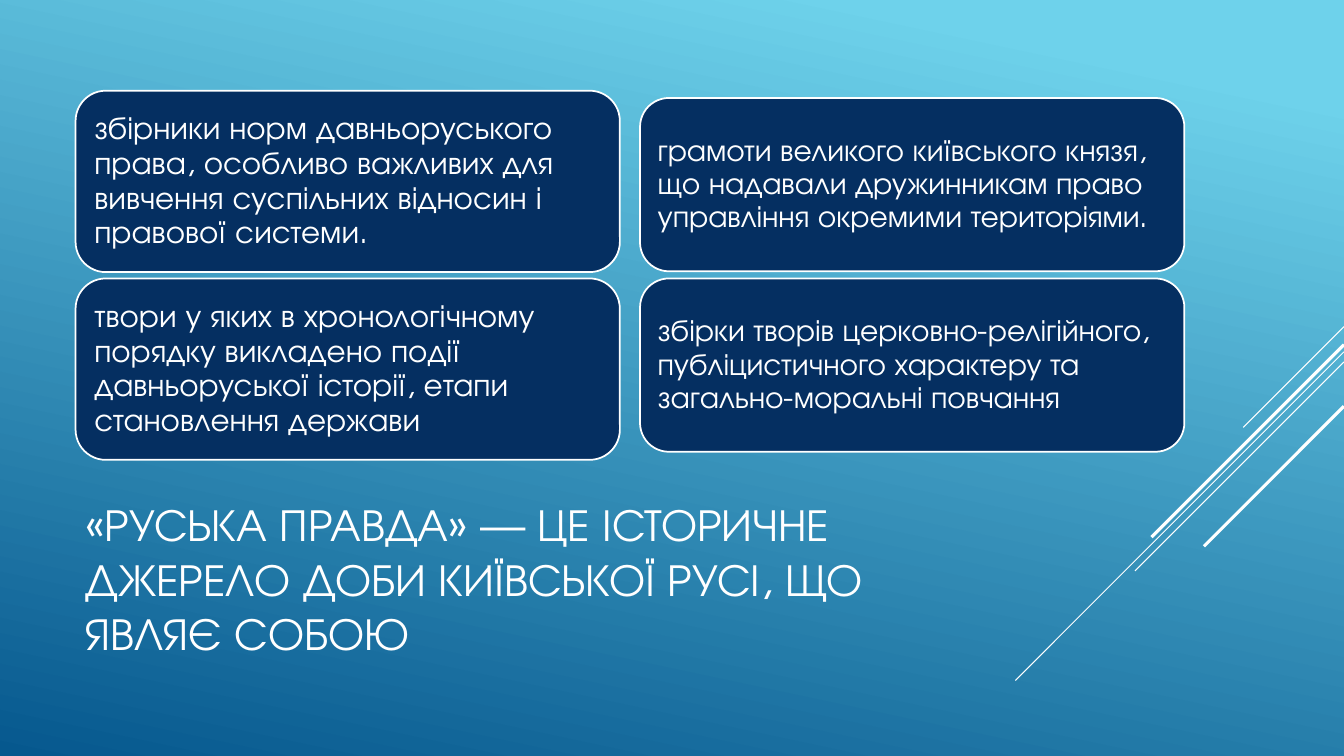
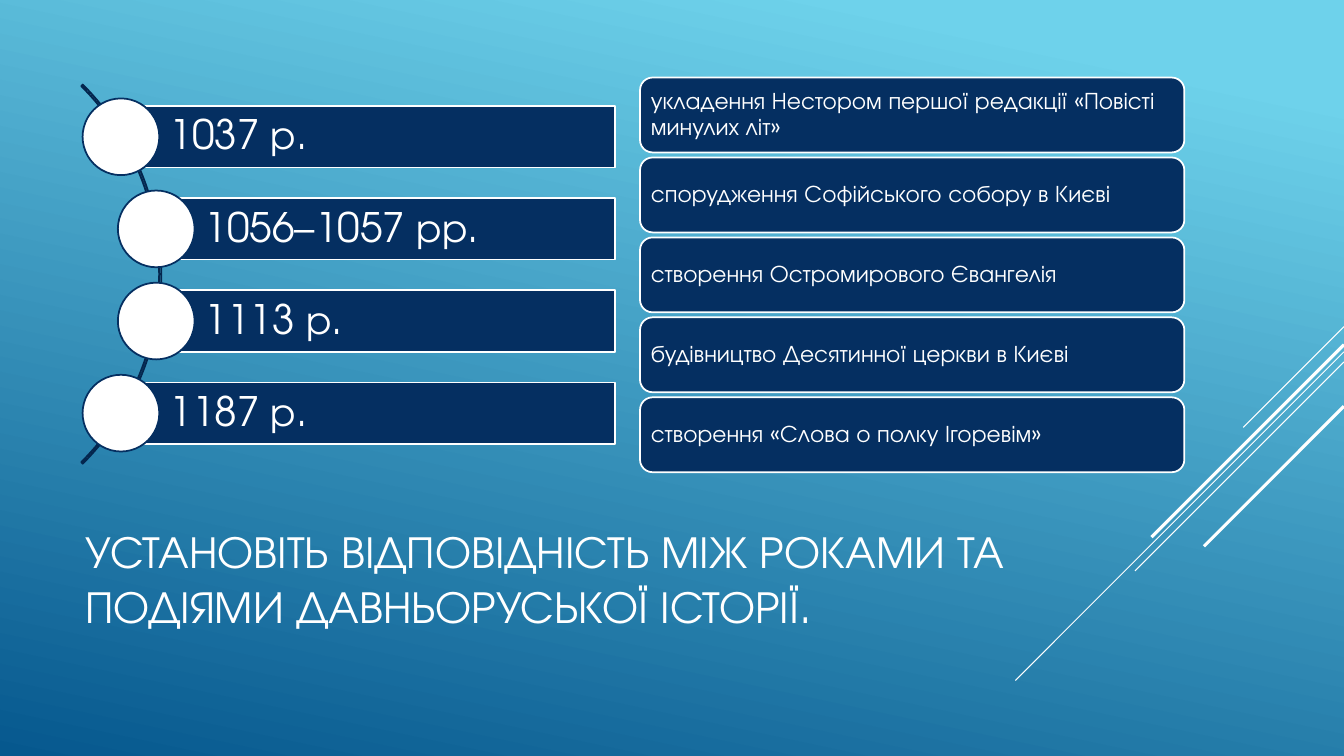
"""Build two slides on sources and dates of Kyivan Rus history."""
from lxml.etree import SubElement
from pptx import Presentation
from pptx.dml.color import RGBColor
from pptx.enum.shapes import MSO_CONNECTOR as CONNECTOR, MSO_SHAPE as SHAPE
from pptx.enum.text import MSO_ANCHOR as ANCHOR, MSO_AUTO_SIZE as AUTO_SIZE, PP_ALIGN as ALIGN
from pptx.oxml.ns import qn
from pptx.util import Pt

COLORS = {"sky": "6ED2EB", "sea": "06588E", "navy": "052F61", "arc": "04264E", "white": "FFFFFF"}
FONT = "TeX Gyre Adventor"
FRAME = {"word_wrap": True, "auto_size": AUTO_SIZE.NONE, "vertical_anchor": ANCHOR.MIDDLE}


def write_text(shape, text, size, spacing, margins):
    """Fill a shape with one left-aligned paragraph; margins are left, top, right, bottom."""
    frame = shape.text_frame
    sides = ("margin_left", "margin_top", "margin_right", "margin_bottom")
    for name, value in {**FRAME, **dict(zip(sides, map(Pt, margins)))}.items():
        setattr(frame, name, value)
    para = frame.paragraphs[0]
    para.alignment, para.line_spacing = ALIGN.LEFT, spacing
    span = para.add_run()
    span.text = text
    for name, value in {"name": FONT, "size": Pt(size)}.items():
        setattr(span.font, name, value)
    span.font.color.rgb = RGBColor.from_string(COLORS["white"])


def add_block(slide, preset, at, fill, line):
    """Add a shape with a thin outline; fill may be None."""
    shape = slide.shapes.add_shape(preset, *map(Pt, at))
    shape.shadow.inherit = False
    if fill:
        shape.fill.solid()
        shape.fill.fore_color.rgb = RGBColor.from_string(COLORS[fill])
    else:
        shape.fill.background()
    shape.line.color.rgb = RGBColor.from_string(COLORS[line])
    shape.line.width = Pt(1.25)
    return shape


deck = Presentation()
deck.slide_width, deck.slide_height = Pt(960), Pt(540)
master = deck.slide_master
layout = deck.slide_layouts.get_by_name("Title Only")

backdrop = master.background.fill
backdrop.gradient()
backdrop.gradient_angle = 258
for stop, position, color in zip(backdrop.gradient_stops, (0.1, 1), ("sky", "sea")):
    stop.position = position
    stop.color.rgb = RGBColor.from_string(COLORS[color])

titles = [
    "«РУСЬКА ПРАВДА» — ЦЕ ІСТОРИЧНЕ ДЖЕРЕЛО ДОБИ КИЇВСЬКОЇ РУСІ, ЩО ЯВЛЯЄ СОБОЮ",
    "УСТАНОВІТЬ ВІДПОВІДНІСТЬ МІЖ РОКАМИ ТА ПОДІЯМИ ДАВНЬОРУСЬКОЇ ІСТОРІЇ.",
]
slides = []
for text in titles:
    slide = deck.slides.add_slide(layout)
    title = slide.shapes.title
    title.left, title.top, title.width, title.height = map(Pt, (54, 353.5, 672, 118.8))
    write_text(title, text, 32.4, 1, (7.2, 3.6, 7.2, 3.6))
    slides.append(slide)
sources, dates = slides

diagonals = [(233.3, 72, 0.75), (251.3, 234.7, 0.75), (258.5, 149.3, 0.75),
             (246.2, 137.5, 2.25), (290.2, 100, 2.25)]
for number, (top, run, width) in enumerate(diagonals):
    diagonal = sources.shapes.add_connector(
        CONNECTOR.STRAIGHT, *map(Pt, (960, top, 960 - run, top + run)))
    diagonal.line.color.rgb = RGBColor.from_string(COLORS["white"])
    diagonal.line.width = Pt(width)
    SubElement(diagonal.element.spPr, qn("a:effectLst"))
    diagonal.element.nvCxnSpPr.cNvPr.id = 20 + number
    master.shapes.element.append(diagonal.element)

card_columns = [
    (54, 64.8, 129.6, 134.1, 23, 7.2, [
        "збірники норм давньоруського права, особливо важливих для вивчення суспільних відносин і правової системи.",
        "твори у яких в хронологічному порядку викладено події давньоруської історії, етапи становлення держави",
    ]),
    (457.2, 70, 123.8, 128.9, 22, 6.6, [
        "грамоти великого київського князя, що надавали дружинникам право управління окремими територіями.",
        "збірки творів церковно-релігійного, публіцистичного характеру та загально-моральні повчання",
    ]),
]
event_column = (457.2, 55.4, 53.5, 57.1, 17, 5.1, [
    "укладення Нестором першої редакції «Повісті минулих літ»",
    "спорудження Софійського собору в Києві",
    "створення Остромирового Євангелія",
    "будівництво Десятинної церкви в Києві",
    "створення «Слова о полку Ігоревім»",
])

arc = add_block(dates, SHAPE.BLOCK_ARC, (-267.8, 4.3, 383, 383), None, "arc")
for index, value in enumerate((189, 27, 0.004)):
    arc.adjustments[index] = value

years = [("1037 р.", 86.4), ("1056–1057 рр.", 111.6), ("1113 р.", 111.6), ("1187 р.", 86.4)]
bar_right, bar_height, dot = 439.2, 43.9, 54.8
for row, (year, left) in enumerate(years):
    middle = 97.7 + row * 65.8
    bar = add_block(dates, SHAPE.RECTANGLE,
                    (left, middle - bar_height / 2, bar_right - left, bar_height), "navy", "white")
    write_text(bar, year, 29, 0.9, (34.8, 5.8, 5.8, 5.8))
    add_block(dates, SHAPE.OVAL, (left - dot / 2, middle - dot / 2, dot, dot), "white", "navy")

for slide, column in [(sources, card_columns[0]), (sources, card_columns[1]), (dates, event_column)]:
    left, top, height, pitch, size, margin, texts = column
    for row, text in enumerate(texts):
        card = add_block(slide, SHAPE.ROUNDED_RECTANGLE,
                         (left, top + row * pitch, 388.8, height), "navy", "white")
        write_text(card, text, size, 0.9, [margin] * 4)

deck.save("out.pptx")
